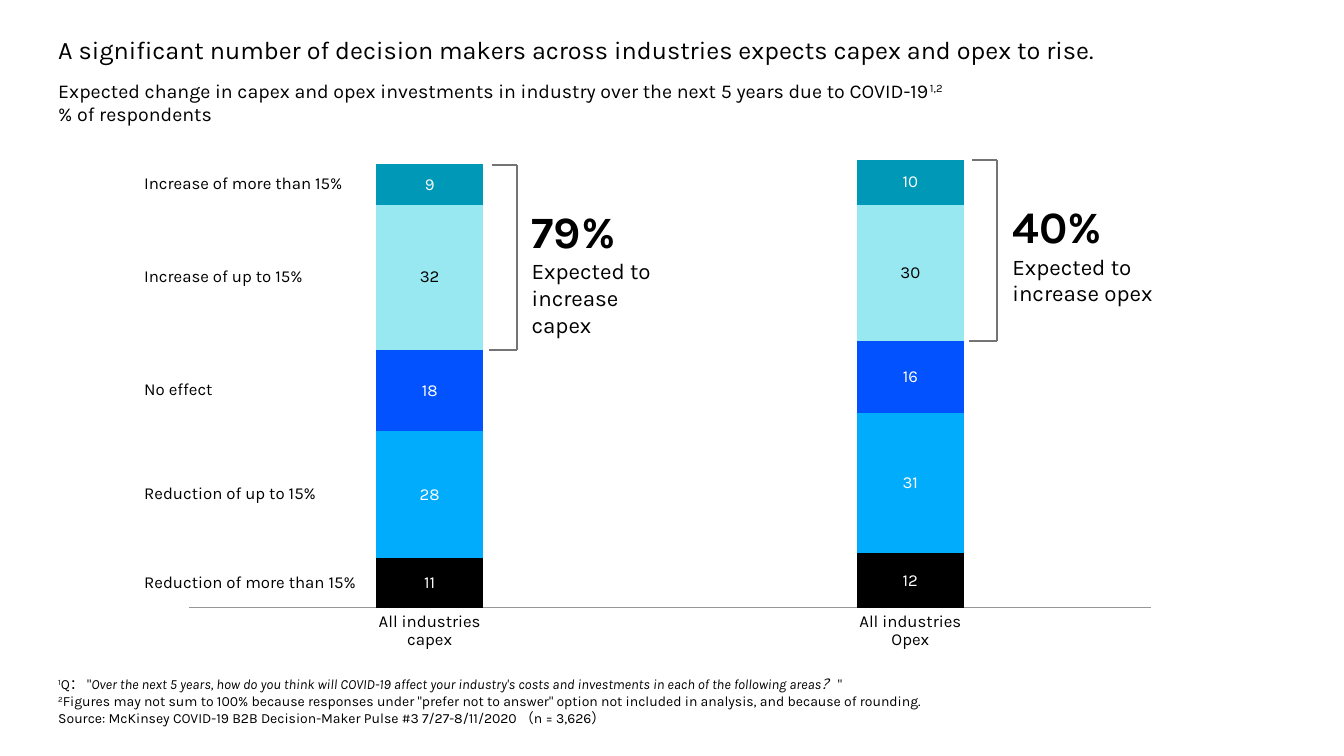
from collections import namedtuple
from lxml.etree import SubElement
from pptx import Presentation
from pptx.chart.data import CategoryChartData
from pptx.dml.color import RGBColor
from pptx.enum.chart import XL_CHART_TYPE, XL_LABEL_POSITION, XL_TICK_LABEL_POSITION, XL_TICK_MARK
from pptx.enum.shapes import MSO_CONNECTOR
from pptx.enum.text import MSO_ANCHOR, MSO_AUTO_SIZE, PP_ALIGN
from pptx.oxml import parse_xml
from pptx.oxml.ns import nsdecls, qn
from pptx.util import Pt

Box = namedtuple("Box", "left top width height")

BLACK = RGBColor(0x00, 0x00, 0x00)
WHITE = RGBColor(0xFF, 0xFF, 0xFF)
SKY = RGBColor(0x00, 0xAC, 0xFB)
BLUE = RGBColor(0x03, 0x52, 0xFF)
PALE = RGBColor(0x98, 0xE8, 0xF2)
TEAL = RGBColor(0x00, 0x98, 0xB7)
AXIS_GREY = RGBColor(0x96, 0x96, 0x96)
BRACKET_GREY = RGBColor(0x74, 0x74, 0x74)
FONT = "Karla"

ANSWERS = [
    ("Reduction of more than 15%", (11, 12), BLACK, WHITE),
    ("Reduction of up to 15%", (28, 31), SKY, WHITE),
    ("No effect", (18, 16), BLUE, WHITE),
    ("Increase of up to 15%", (32, 30), PALE, BLACK),
    ("Increase of more than 15%", (9, 10), TEAL, WHITE),
]
COLUMNS = [
    ("All industries\ncapex", "79%", "increase capex"),
    ("All industries\nOpex", "40%", "increase opex"),
]
UNCHANGED_OR_LESS = 3
SCALE_MAX = 99
GAP_WIDTH = 350
PLOT = Box(0.009, 0.058, 0.981, 0.884)


def write(shapes, box, paragraphs, size, inset=None, spacing=None,
          align=PP_ALIGN.LEFT, anchor=MSO_ANCHOR.TOP, grow=False):
    shape = shapes.add_textbox(*map(Pt, box))
    frame = shape.text_frame
    frame.word_wrap = True
    frame.auto_size = MSO_AUTO_SIZE.SHAPE_TO_FIT_TEXT if grow else MSO_AUTO_SIZE.NONE
    frame.vertical_anchor = anchor
    if inset is not None:
        frame.margin_left = frame.margin_right = Pt(inset)
        frame.margin_top = frame.margin_bottom = Pt(inset)
    for index, spans in enumerate(paragraphs):
        para = frame.add_paragraph() if index else frame.paragraphs[0]
        para.alignment = align
        para.line_spacing = spacing
        for text, style in spans:
            for number, line in enumerate(text.split("\n")):
                if number:
                    para.add_line_break()
                span = para.add_run()
                span.text = line
                span.font.name = FONT
                span.font.size = Pt(style.get("size", size))
                span.font.bold = style.get("bold", False)
                span.font.italic = style.get("italic", False)
                span.font.color.rgb = BLACK
                if style.get("raised"):
                    span._r.get_or_add_rPr().set("baseline", "30000")
    return shape


def add_heading(page, box):
    write(page.shapes, Box(box.left, box.top, box.width, 29), [
        [("A significant number of decision makers across industries expects "
          "capex and opex to rise.", {})],
    ], size=18, grow=True)
    write(page.shapes, Box(box.left, box.top + 31.5, 675, 41), [
        [("Expected change in capex and opex investments in industry over the "
          "next 5 years due to COVID-19", {}), ("1,2", {"raised": True})],
        [("% of respondents", {})],
    ], size=14, grow=True)


def add_footnotes(page, box):
    write(page.shapes, box, [
        [("1", {"raised": True}), ("Q： \"", {}),
         ("Over the next 5 years, how do you think will COVID-19 affect your "
          "industry's costs and investments in each of the following areas？ ",
          {"italic": True}), ("\"", {})],
        [("2", {"raised": True}),
         ("Figures may not sum to 100% because responses under \"prefer not to "
          "answer\" option not included in analysis, and because of rounding.", {})],
        [("Source: McKinsey COVID-19 B2B Decision-Maker Pulse #3 "
          "7/27-8/11/2020 （n = 3,626）", {})],
    ], size=10, grow=True)


def add_stacked_chart(page, box):
    data = CategoryChartData()
    data.categories = [label.replace("\n", " ") for label, _, _ in COLUMNS]
    for name, values, _, _ in ANSWERS:
        data.add_series(name, values)
    chart = page.shapes.add_chart(
        XL_CHART_TYPE.COLUMN_STACKED, *map(Pt, box), data).chart
    chart.has_legend = False
    chart.has_title = False
    chart.font.name = FONT
    chart.font.size = Pt(12)
    chart.font.color.rgb = BLACK

    chart.value_axis.minimum_scale = 0
    chart.value_axis.maximum_scale = SCALE_MAX
    chart.value_axis.has_major_gridlines = False
    chart.value_axis.visible = False
    axis = chart.category_axis
    axis.tick_label_position = XL_TICK_LABEL_POSITION.NONE
    axis.major_tick_mark = XL_TICK_MARK.NONE
    axis.format.line.color.rgb = AXIS_GREY
    axis.format.line.width = Pt(0.75)

    plot = chart.plots[0]
    plot.gap_width = GAP_WIDTH
    plot.overlap = 100
    plot.vary_by_categories = False
    for series, (_, _, fill, ink) in zip(plot.series, ANSWERS):
        series.format.fill.solid()
        series.format.fill.fore_color.rgb = fill
        labels = series.data_labels
        labels.show_value = True
        labels.position = XL_LABEL_POSITION.CENTER
        labels.font.name = FONT
        labels.font.size = Pt(12)
        labels.font.color.rgb = ink

    area = chart._chartSpace.chart.plotArea
    for layout in area.findall(qn("c:layout")):
        area.remove(layout)
    area.insert(0, parse_xml(
        f'<c:layout {nsdecls("c")}><c:manualLayout><c:layoutTarget val="inner"/>'
        '<c:xMode val="edge"/><c:yMode val="edge"/>'
        f'<c:x val="{PLOT.left}"/><c:y val="{PLOT.top}"/>'
        f'<c:w val="{PLOT.width}"/><c:h val="{PLOT.height}"/>'
        '</c:manualLayout></c:layout>'))


def add_bracket(page, box):
    right, bottom = box.left + box.width, box.top + box.height
    group = page.shapes.add_group_shape()
    for ends in [
        (box.left + 2, box.top, right, box.top),
        (box.left, bottom, right, bottom),
        (right, bottom, right, box.top),
    ]:
        line = group.shapes.add_connector(MSO_CONNECTOR.STRAIGHT, *map(Pt, ends))
        line.line.color.rgb = BRACKET_GREY
        line.line.width = Pt(1.5)
        SubElement(line._element.spPr, qn("a:effectLst"))


def add_chart_region(page, box):
    add_stacked_chart(page, box)
    plot_left = box.left + PLOT.left * box.width
    base = box.top + (PLOT.top + PLOT.height) * box.height
    unit = PLOT.height * box.height / SCALE_MAX
    slot = PLOT.width * box.width / len(COLUMNS)
    bar_width = slot / (1 + GAP_WIDTH / 100)

    below = 0
    for name, values, _, _ in ANSWERS:
        middle = base - (below + values[0] / 2) * unit
        write(page.shapes, Box(box.left - 26, middle - 6.5, 160, 13), [[(name, {})]],
              size=12, inset=0, spacing=0.9, anchor=MSO_ANCHOR.MIDDLE)
        below += values[0]

    for column, (label, share, outcome) in enumerate(COLUMNS):
        center = plot_left + (column + 0.5) * slot
        write(page.shapes, Box(center - 40, base + 3.5, 80, 26), [[(label, {})]],
              size=12, inset=0, spacing=0.9, align=PP_ALIGN.CENTER)
        values = [answer[1][column] for answer in ANSWERS]
        top = base - sum(values) * unit + 0.5
        bottom = base - sum(values[:UNCHANGED_OR_LESS]) * unit
        left = center + bar_width / 2 + 4
        add_bracket(page, Box(left, top, 20, bottom - top))
        write(page.shapes, Box(left + 23.6, top + 24, 116, 85), [
            [(share, {"size": 32, "bold": True})],
            [("Expected to", {})],
            [(outcome, {})],
        ], size=16, grow=True)


def main():
    deck = Presentation()
    deck.slide_width, deck.slide_height = Pt(960), Pt(540)
    page = deck.slides.add_slide(deck.slide_layouts[6])
    add_heading(page, Box(34.5, 21, 890, 73))
    add_footnotes(page, Box(34.5, 479, 780, 44))
    add_chart_region(page, Box(129, 93, 700, 362))
    deck.save("out.pptx")


if __name__ == "__main__":
    main()
